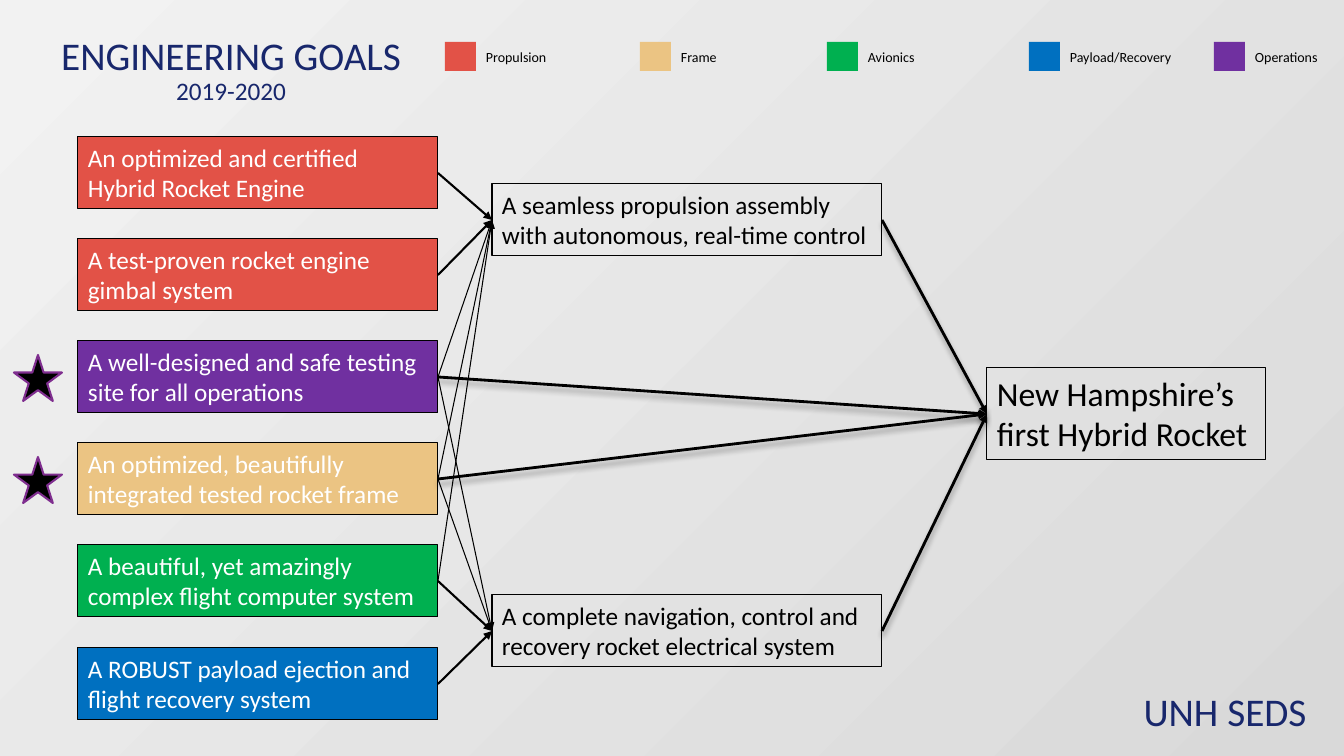
import pptx
import pptx.util
import pptx.dml.color
import pptx.enum.shapes
import pptx.enum.text
import pptx.oxml
import pptx.oxml.ns

PX = 914400 / 100.8
RED, PURPLE, TAN, GREEN, BLUE = "E25247", "7030A0", "EBC483", "00B050", "0070C0"
BLACK, WHITE, NAVY = "000000", "FFFFFF", "18276C"

GOALS = [
    ("An optimized and certified Hybrid Rocket Engine", RED),
    ("A test-proven rocket engine gimbal system", RED),
    ("A well-designed and safe testing site for all operations", PURPLE),
    ("An optimized, beautifully integrated tested rocket frame", TAN),
    ("A beautiful, yet amazingly complex flight computer system", GREEN),
    ("A ROBUST payload ejection and flight recovery system", BLUE),
]
STAGES = [
    ("A seamless propulsion assembly with autonomous, real-time control", 184),
    ("A complete navigation, control and recovery rocket electrical system", 595),
]
TARGET = "New Hampshire’s first Hybrid Rocket"
LEGEND = [
    ("Propulsion", RED, 445, 156),
    ("Frame", TAN, 640, 140),
    ("Avionics", GREEN, 827, 160),
    ("Payload/Recovery", BLUE, 1029, 140),
    ("Operations", PURPLE, 1214, 88),
]
STARS = [355, 457]
LINKS = [
    ("goal", 0, "stage", 0, 1.5), ("goal", 1, "stage", 0, 1.5),
    ("goal", 2, "stage", 0, 0.75), ("goal", 3, "stage", 0, 0.75),
    ("goal", 4, "stage", 0, 0.75), ("goal", 5, "stage", 1, 1.5),
    ("goal", 4, "stage", 1, 1.5), ("goal", 3, "stage", 1, 0.75),
    ("goal", 2, "stage", 1, 0.75),
    ("stage", 0, "end", 0, 2), ("stage", 1, "end", 0, 2),
    ("goal", 2, "end", 0, 2), ("goal", 3, "end", 0, 2),
]
SHADE = ('<a:outerShdw blurRad="50800" dist="38100" dir="5400000">'
         '<a:srgbClr val="000000"><a:alpha val="35000"/></a:srgbClr></a:outerShdw>')

KIND = pptx.enum.shapes.MSO_SHAPE
ALIGN = pptx.enum.text.PP_ALIGN
ANCHOR = pptx.enum.text.MSO_ANCHOR


def px(n):
    return round(n * PX)


def color(code):
    return pptx.dml.color.RGBColor.from_string(code)


def put(thing, **values):
    for name, value in values.items():
        setattr(thing, name, value)


def write(shape, lines, tint, align=ALIGN.LEFT, anchor=ANCHOR.TOP, **frame):
    put(shape.text_frame, word_wrap=True, vertical_anchor=anchor, **frame)
    para = shape.text_frame.paragraphs[0]
    para.alignment = align
    for i, (text, size) in enumerate(lines):
        if i:
            para.add_line_break()
            para.line_spacing = 0.9
        run = para.add_run()
        run.text = text
        put(run.font, name="Calibri", size=pptx.util.Pt(size))
        run.font.color.rgb = color(tint)


def label(box, lines, tint, **style):
    shape = slide.shapes.add_textbox(*map(px, box))
    write(shape, lines, tint, anchor=ANCHOR.MIDDLE, **style)


def draw(kind, box, fill=None, line=None, width=0.75):
    shape = slide.shapes.add_shape(kind, *map(px, box))
    shape.shadow.inherit = False
    if fill:
        shape.fill.solid()
        shape.fill.fore_color.rgb = color(fill)
    else:
        shape.fill.background()
    if line:
        shape.line.color.rgb = color(line)
        shape.line.width = pptx.util.Pt(width)
    else:
        shape.line.fill.background()
    return shape


def block(box, text, size, tint, fill=None):
    shape = draw(KIND.RECTANGLE, box, fill, BLACK)
    write(shape, [(text, size)], tint)
    return shape


def link(start, end, width):
    wire = slide.shapes.add_connector(pptx.enum.shapes.MSO_CONNECTOR.STRAIGHT, 0, 0, 0, 0)
    wire.begin_connect(start, 3)
    wire.end_connect(end, 1)
    wire.line.color.rgb = color(BLACK)
    wire.line.width = pptx.util.Pt(width)
    space = pptx.oxml.ns.nsdecls("a")
    props = wire._element.spPr
    props.find(pptx.oxml.ns.qn("a:ln")).append(
        pptx.oxml.parse_xml(f'<a:tailEnd {space} type="triangle"/>'))
    shade = SHADE if width == 2 else ""
    props.append(pptx.oxml.parse_xml(f"<a:effectLst {space}>{shade}</a:effectLst>"))


deck = pptx.Presentation()
put(deck, slide_width=px(1344), slide_height=px(756))
slide = deck.slides.add_slide(deck.slide_layouts[6])
back = slide.background.fill
back.gradient()
back.gradient_angle = 135
for stop, (place, tint) in zip(back.gradient_stops, [(0, "D9D9D9"), (1, "F2F2F2")]):
    stop.position = place
    stop.color.rgb = color(tint)

label((38, 45, 386, 53), [("ENGINEERING GOALS", 28), ("2019-2020", 18)],
      NAVY, align=ALIGN.CENTER)
label((1131, 684, 188, 53), [("UNH SEDS", 28)], NAVY, align=ALIGN.CENTER)

nodes = {
    "goal": [block((78, 137 + 511 * i // 5, 360, 72), text, 18, WHITE, fill)
             for i, (text, fill) in enumerate(GOALS)],
    "stage": [block((492, top, 390, 72), text, 18, BLACK) for text, top in STAGES],
    "end": [block((987, 368, 279, 92), TARGET, 24, BLACK)],
}

for text, fill, left, width in LEGEND:
    draw(KIND.RECTANGLE, (left, 42, 31, 29), fill)
    label((left + 40, 42, width, 29), [(text, 10)], BLACK,
          margin_left=px(1), margin_right=px(1), margin_top=0, margin_bottom=0)

for begin, i, end, j, width in LINKS:
    link(nodes[begin][i], nodes[end][j], width)

for top in STARS:
    draw(KIND.STAR_5_POINT, (14, top, 48, 46), BLACK, "7F2E8F", 1.5)

deck.save("out.pptx")
